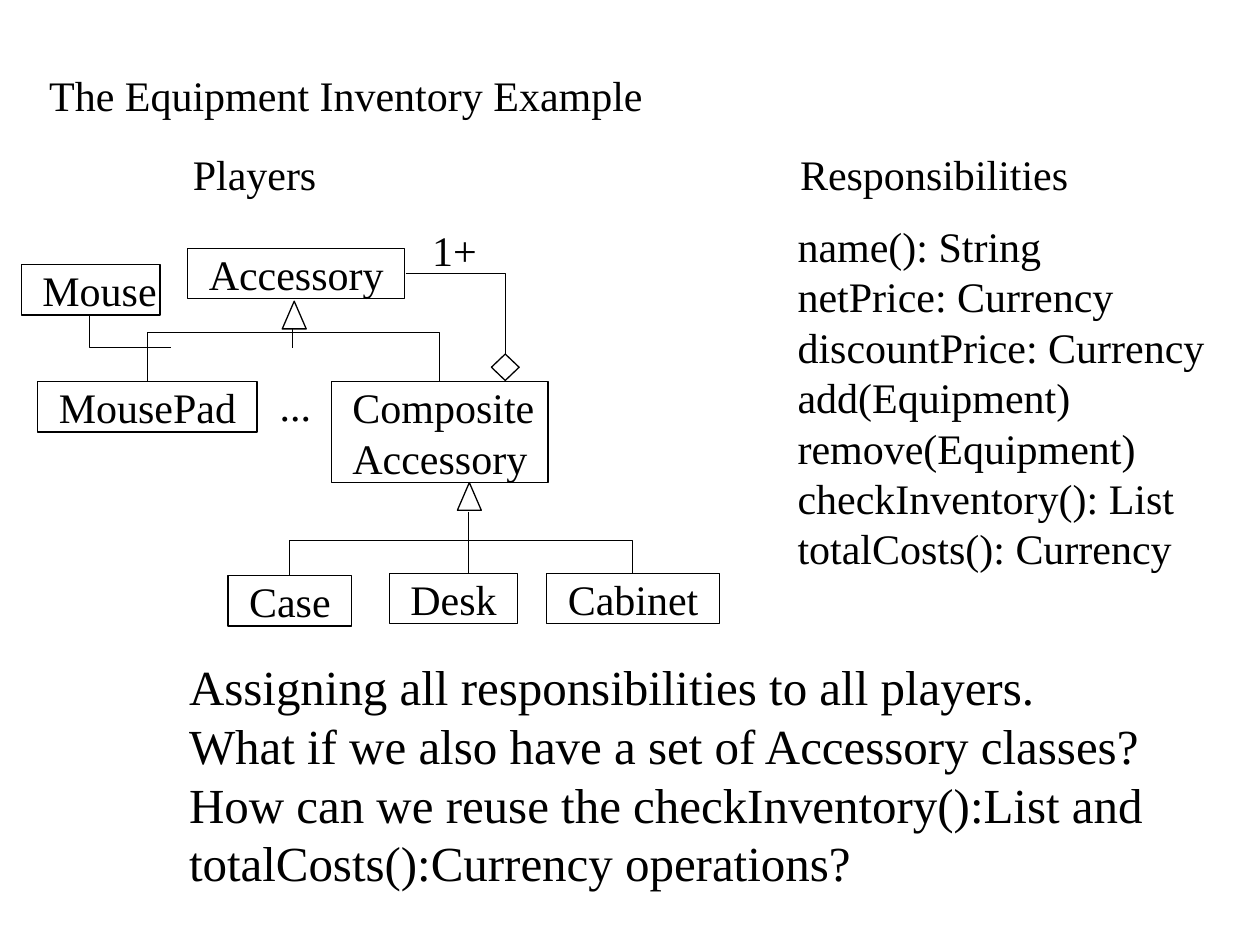
from lxml import etree
from pptx import Presentation
from pptx.dml.color import RGBColor
from pptx.enum.shapes import MSO_CONNECTOR as Link, MSO_SHAPE as Shape
from pptx.enum.text import MSO_ANCHOR as Anchor, MSO_AUTO_SIZE as Fit, PP_ALIGN as Align
from pptx.oxml.ns import qn
from pptx.util import Inches, Pt

WIDTH, HEIGHT = Inches(10), Inches(7.5)
COLUMNS, ROWS = 100, 75
FONT, INK = "Times New Roman", "000000"
LABEL_SIZE, QUESTION_SIZE = 24, 28
LINE_HEIGHT = 4      # rows taken by one label line
LABEL_INDENT = 1.67  # columns between a class box and its name

RESPONSIBILITIES = [
    "name(): String", "netPrice: Currency", "discountPrice: Currency",
    "add(Equipment)", "remove(Equipment)", "checkInventory(): List",
    "totalCosts(): Currency",
]
QUESTIONS = [
    "Assigning all responsibilities to all players.",
    "What if we also have a set of Accessory classes?",
    "How can we reuse the checkInventory():List and",
    "totalCosts():Currency operations?",
]
# Class name lines, column, row, width in columns
CLASSES = [
    (["Accessory"], 14.9, 19.7, 17.2),
    (["MousePad"], 3, 30.3, 17.4),
    (["Composite", "Accessory"], 26.3, 30.3, 17.2),
    (["Desk"], 30.9, 45.5, 10.2),
    (["Cabinet"], 43.4, 45.5, 13.7),
    (["Case"], 18.1, 45.7, 9.8),
    (["Mouse"], 1.7, 21, 11),
]
# Text, column, row, width in columns
CAPTIONS = [
    ("Players", 15.3, 11.8, 10.2),
    ("Responsibilities", 63.5, 11.8, 21.7),
    ("1+", 34.3, 17.8, 4),
    ("...", 22.2, 30.1, 2.9),
]


def col(n):
    return round(WIDTH * n / COLUMNS)


def row(n):
    return round(HEIGHT * n / ROWS)


def area(x, y, w, h):
    return col(x), row(y), col(w), row(h)


def color(hex_value):
    return RGBColor.from_string(hex_value)


def outline(item):
    item.line.color.rgb = color(INK)
    item.line.width = Pt(0.75)


def write(frame, lines, size=LABEL_SIZE, inset=0):
    """Fill a frame with unbulleted, left-aligned lines."""
    frame.word_wrap = False
    frame.auto_size = Fit.SHAPE_TO_FIT_TEXT
    frame.vertical_anchor = Anchor.TOP
    frame.margin_left = col(inset)
    frame.margin_right = frame.margin_top = frame.margin_bottom = 0
    for number, line in enumerate(lines):
        paragraph = frame.add_paragraph() if number else frame.paragraphs[0]
        properties = paragraph._p.get_or_add_pPr()
        properties.set("marL", "0")
        properties.set("indent", "0")
        etree.SubElement(properties, qn("a:buNone"))
        paragraph.alignment = Align.LEFT
        paragraph.space_before = Pt(0)
        run = paragraph.add_run()
        run.text = line
        run.font.name, run.font.size = FONT, Pt(size)
        run.font.color.rgb = color(INK)


def place(placeholder, x, y, w, h):
    placeholder.left, placeholder.top, placeholder.width, placeholder.height = area(x, y, w, h)
    return placeholder.text_frame


def add_symbol(slide, kind, x, y, w, h):
    symbol = slide.shapes.add_shape(kind, *area(x, y, w, h))
    symbol.shadow.inherit = False
    symbol.fill.background()
    outline(symbol)
    return symbol


def add_class(slide, lines, x, y, w):
    box = add_symbol(slide, Shape.RECTANGLE, x, y, w, LINE_HEIGHT * len(lines))
    write(box.text_frame, lines, inset=LABEL_INDENT)


def add_caption(slide, text, x, y, w):
    box = slide.shapes.add_textbox(*area(x, y, w, LINE_HEIGHT))
    write(box.text_frame, [text])


def add_link(slide, kind, start, end):
    link = slide.shapes.add_connector(
        kind, col(start[0]), row(start[1]), col(end[0]), row(end[1]))
    outline(link)
    etree.SubElement(link._element.spPr, qn("a:effectLst"))
    return link


def add_corner(slide, start, end):
    """Run across from start, then down to end."""
    link = add_link(slide, Link.ELBOW, start, end)
    geometry = link._element.spPr.find(qn("a:prstGeom"))
    geometry.set("prst", "bentConnector2")
    return link


def add_upright(slide, start, end, bar=None):
    """Leave start vertically: turn once, or pass along a bar at the given row."""
    (x1, y1), (x2, y2) = start, end
    mid_x, mid_y = (x1 + x2) / 2, (y1 + y2) / 2
    w, h = abs(y2 - y1), x2 - x1
    corners = (mid_x - w / 2, mid_y - h / 2), (mid_x + w / 2, mid_y + h / 2)
    if bar is None:
        link = add_corner(slide, *corners)
    else:
        link = add_link(slide, Link.ELBOW, *corners)
    properties = link._element.spPr
    # A quarter turn makes the first leg vertical
    downward = y2 > y1
    frame = properties.find(qn("a:xfrm"))
    frame.set("rot", str((270 if downward else 90) * 60000))
    frame.set("flipH", "1")
    frame.set("flipV", "0" if downward else "1")
    if bar is not None:
        share = round((bar - y1) / (y2 - y1) * 100000)
        guides = properties.find(qn("a:prstGeom")).get_or_add_avLst()
        etree.SubElement(guides, qn("a:gd"), name="adj1", fmla=f"val {share}")


def main():
    deck = Presentation()
    deck.slide_width, deck.slide_height = WIDTH, HEIGHT
    slide = deck.slides.add_slide(deck.slide_layouts[3])
    title, responsibilities, questions = slide.placeholders

    # Title and the two lists
    heading = place(title, 2.9, 3.4, 94.5, 8.3)
    write(heading, ["The Equipment Inventory Example"])
    heading.auto_size, heading.word_wrap = Fit.NONE, True
    heading.vertical_anchor = Anchor.MIDDLE
    heading.margin_left = heading.margin_right = col(1)
    heading.margin_top = heading.margin_bottom = row(0.5)
    write(place(responsibilities, 63.3, 17.5, 33, 28), RESPONSIBILITIES)
    write(place(questions, 15, 52.1, 76.2, 18.7), QUESTIONS, QUESTION_SIZE)

    # Class boxes and captions
    for lines, x, y, w in CLASSES:
        add_class(slide, lines, x, y, w)
    for text, x, y, w in CAPTIONS:
        add_caption(slide, text, x, y, w)

    # Inheritance arrowheads and the aggregation diamond
    for x, y in ((36.3, 38.3), (22.4, 23.9)):
        add_symbol(slide, Shape.ISOSCELES_TRIANGLE, x, y, 1.9, 2.2)
    add_symbol(slide, Shape.DIAMOND, 39, 28.1, 2.2, 2.1)

    # Links between classes
    add_upright(slide, (11.7, 30.2), (34.9, 30.3), bar=26.3)
    add_upright(slide, (23, 45.7), (50.2, 45.5), bar=42.9)
    add_upright(slide, (7.1, 25), (13.6, 27.6))
    add_corner(slide, (32.2, 21.7), (40.1, 28.1))
    add_link(slide, Link.STRAIGHT, (37.2, 40.6), (37.2, 45.5))
    add_link(slide, Link.STRAIGHT, (23.2, 26.1), (23.2, 27.6))

    deck.save("out.pptx")


if __name__ == "__main__":
    main()
